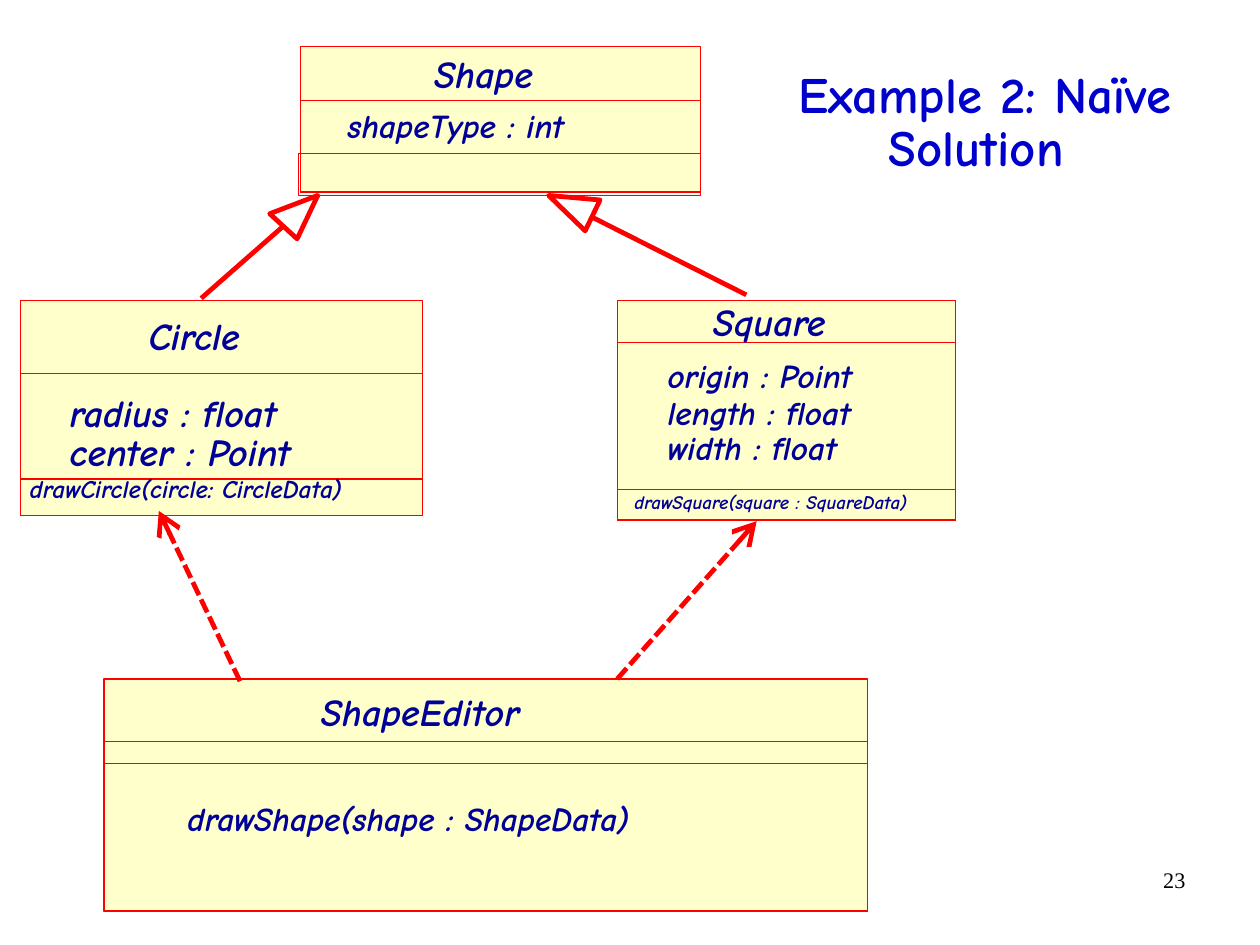
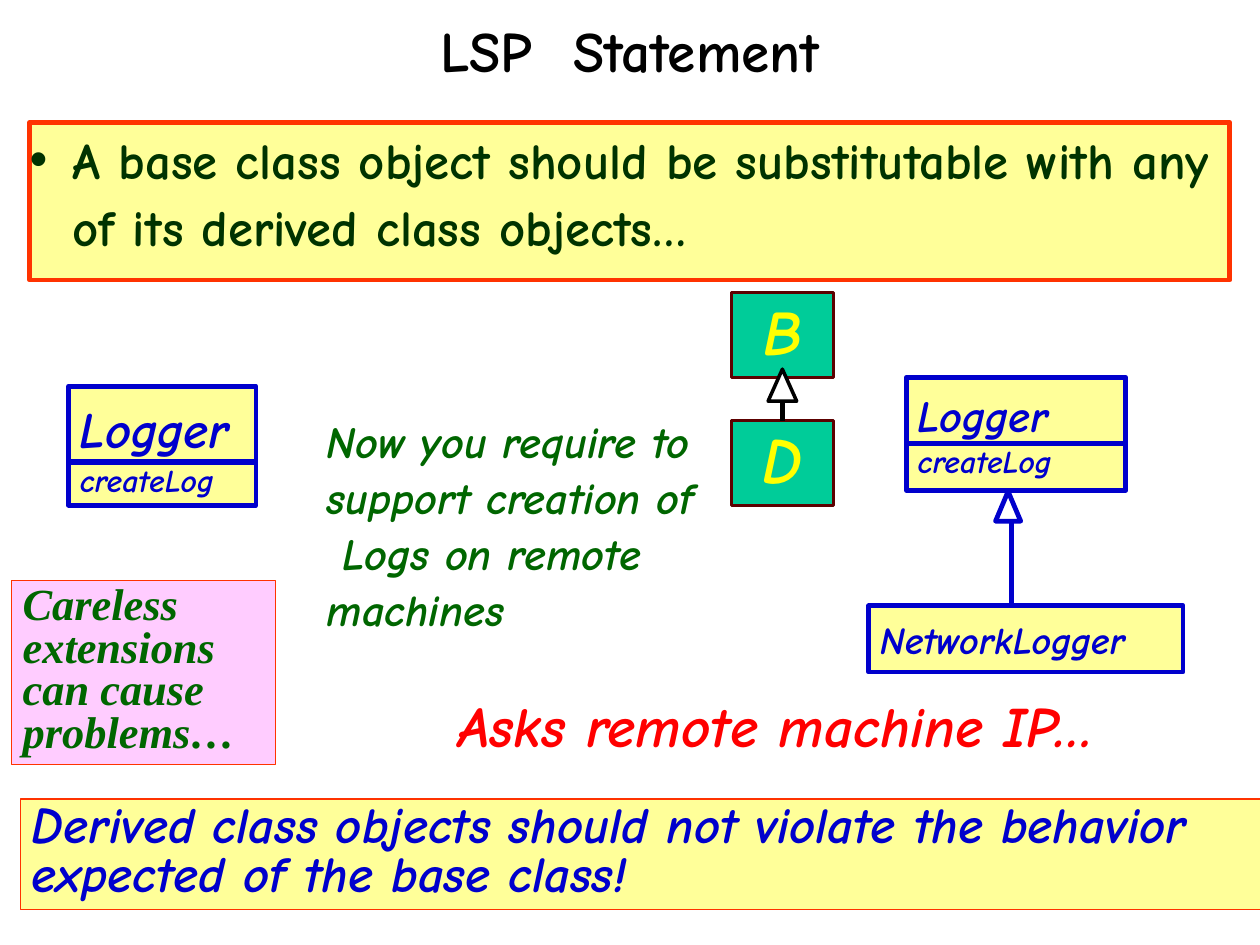
from dataclasses import dataclass

from lxml import etree
from pptx import Presentation
from pptx.dml.color import RGBColor
from pptx.enum.dml import MSO_LINE
from pptx.enum.shapes import MSO_CONNECTOR, MSO_SHAPE
from pptx.enum.text import MSO_ANCHOR, MSO_AUTO_SIZE, PP_ALIGN
from pptx.oxml.ns import qn
from pptx.util import Cm, Emu, Inches, Pt

RECTANGLE = MSO_SHAPE.RECTANGLE
TRIANGLE = MSO_SHAPE.ISOSCELES_TRIANGLE
STRAIGHT = MSO_CONNECTOR.STRAIGHT
DASHED = MSO_LINE.SQUARE_DOT
TOP, MIDDLE = MSO_ANCHOR.TOP, MSO_ANCHOR.MIDDLE
LEFT, CENTER, RIGHT = PP_ALIGN.LEFT, PP_ALIGN.CENTER, PP_ALIGN.RIGHT
FIT_SHAPE, NO_FIT = MSO_AUTO_SIZE.SHAPE_TO_FIT_TEXT, MSO_AUTO_SIZE.NONE
SIDE_TOP, SIDE_BOTTOM = 0, 2

COMIC, TIMES = "Comic Neue", "Times New Roman"
COLORS = {
    "white": "FFFFFF", "black": "000000", "red": "FF0000", "orange": "FF3300",
    "cream": "FFFFCC", "yellow": "FFFF99", "bright yellow": "FFFF00",
    "navy": "000099", "blue": "0000CC", "green": "006600",
    "dark green": "003300", "teal": "00CC99", "maroon": "5C0000", "pink": "FFCCFF",
}
NO_INSETS = (0, 0)

Point = tuple[float, float]
Rect = tuple[float, float, float, float]


@dataclass
class TextStyle:
    size: float
    color: str
    font: str = COMIC
    bold: bool = True
    italic: bool = True
    spacing: float = 1.0
    align: PP_ALIGN = LEFT
    anchor: MSO_ANCHOR = TOP
    insets: Point = (0.1, 0.05)
    wrap: bool = True
    fit: MSO_AUTO_SIZE = FIT_SHAPE


@dataclass
class Label:
    text: str
    left: float
    top: float
    width: float
    size: float = 24


@dataclass
class ClassBox:
    frame: Rect
    divider_tops: tuple[float, ...]
    labels: tuple[Label, ...]


@dataclass
class Inheritance:
    start: Point
    end: Point
    head: tuple[Point, Point, Point]


@dataclass
class Note:
    text: str
    frame: Rect
    style: TextStyle
    fill: str = ""
    border: str = ""
    border_width: float = 3


CLASS_BOXES = (
    ClassBox((0.18, 2.63, 3.52, 1.88), (3.27, 4.19), (
        Label("Circle", 1.3, 2.73, 0.92),
        Label("radius : float", 0.61, 3.41, 2.18),
        Label("center : Point", 0.61, 3.75, 2.24),
        Label("drawCircle(circle: CircleData)", 0.26, 4.14, 3.21, 16))),
    ClassBox((5.4, 2.63, 2.96, 1.92), (3.0, 4.28), (
        Label("Square", 6.24, 2.61, 1.12),
        Label("origin : Point", 5.84, 3.11, 1.82, 21),
        Label("length : float", 5.84, 3.43, 1.92, 21),
        Label("width : float", 5.84, 3.74, 1.82, 21),
        Label("drawSquare(square : SquareData)", 5.55, 4.29, 2.76, 12))),
    ClassBox((0.91, 5.94, 6.68, 2.03), (6.49, 6.68), (
        Label("ShapeEditor", 2.81, 6.02, 1.98),
        Label("drawShape(shape : ShapeData)", 1.64, 6.98, 4.48, 21))),
    ClassBox((2.63, 0.41, 3.5, 1.27), (0.88,), (
        Label("Shape", 3.8, 0.44, 0.98),
        Label("shapeType : int", 3.04, 0.92, 2.23, 21))),
)
SHAPE_OPERATIONS = (2.61, 1.34, 3.52, 0.37)
INHERITANCES = (
    Inheritance((1.76, 2.61), (2.58, 1.89), ((2.78, 1.71), (2.6, 2.09), (2.36, 1.87))),
    Inheritance((6.53, 2.58), (5.16, 1.89), ((4.8, 1.71), (5.25, 1.75), (5.12, 2.02))),
)
DEPENDENCIES = (((2.1, 5.96), (1.39, 4.47)), ((5.4, 5.94), (6.62, 4.56)))


def logger_note(text: str, frame: Rect, size: float, spacing: float = 1.1) -> Note:
    return Note(text, frame, TextStyle(size, "blue", spacing=spacing), "yellow", "blue")


LSP_NOTES = (
    Note("Derived class objects should not violate the behavior expected of the base class!",
         (0.18, 6.99, 10.85, 0.97), TextStyle(32, "blue", spacing=0.8),
         "yellow", "orange", 0.75),
    logger_note("Logger", (0.6, 3.38, 1.64, 0.66), 32),
    logger_note("createLog", (0.6, 4.05, 1.64, 0.37), 20, 0.8),
    Note("Now you require to support creation of  Logs on remote machines",
         (2.76, 3.55, 3.5, 2.55), TextStyle(28, "green", spacing=1.05)),
    logger_note("Logger", (7.93, 3.3, 1.92, 0.66), 28),
    logger_note("createLog", (7.93, 3.88, 1.92, 0.41), 20, 0.8),
    logger_note("NetworkLogger", (7.6, 5.3, 2.75, 0.58), 24),
    Note("Asks remote machine IP…", (3.91, 6.11, 7.12, 0.59),
         TextStyle(36, "red", spacing=0.8)),
    Note("Careless extensions can cause problems…", (0.1, 5.08, 2.31, 1.61),
         TextStyle(28, "green", TIMES, spacing=0.8), "pink", "orange", 0.75),
)
HIERARCHY_STYLE = TextStyle(40, "bright yellow", spacing=0.9, align=CENTER,
                            anchor=MIDDLE, insets=(0.11, 0.06), fit=NO_FIT)


def rgb(color: str) -> RGBColor:
    return RGBColor.from_string(COLORS[color])


def set_attributes(target, values: dict) -> None:
    for name, value in values.items():
        setattr(target, name, value)


def place(shape, frame: Rect) -> None:
    set_attributes(shape, dict(zip(("left", "top", "width", "height"), map(Inches, frame))))


def write(shape, text: str, style: TextStyle) -> None:
    frame = shape.text_frame
    frame.text = text
    across, down = map(Inches, style.insets)
    set_attributes(frame, {
        "margin_left": across, "margin_right": across,
        "margin_top": down, "margin_bottom": down,
        "word_wrap": style.wrap, "vertical_anchor": style.anchor,
        "auto_size": style.fit,
    })
    paragraph = frame.paragraphs[0]
    set_attributes(paragraph, {
        "alignment": style.align, "line_spacing": style.spacing, "space_before": Pt(0),
    })
    for run in paragraph.runs:
        set_attributes(run.font, {
            "name": style.font, "size": Pt(style.size),
            "bold": style.bold, "italic": style.italic,
        })
        run.font.color.rgb = rgb(style.color)


def paint(shape, fill: str, border: str, border_width: float) -> None:
    """Fill and outline a shape; an empty fill name leaves it hollow."""
    if fill:
        shape.fill.solid()
        shape.fill.fore_color.rgb = rgb(fill)
    else:
        shape.fill.background()
    shape.line.color.rgb = rgb(border)
    shape.line.width = Pt(border_width)


def add_panel(slide, frame: Rect, fill: str, border: str, border_width: float,
              preset: MSO_SHAPE = RECTANGLE):
    panel = slide.shapes.add_shape(preset, *map(Inches, frame))
    paint(panel, fill, border, border_width)
    panel.shadow.inherit = False
    return panel


def add_text(slide, text: str, frame: Rect, style: TextStyle) -> None:
    write(slide.shapes.add_textbox(*map(Inches, frame)), text, style)


def add_note(slide, note: Note):
    if not note.fill:
        return add_text(slide, note.text, note.frame, note.style)
    panel = add_panel(slide, note.frame, note.fill, note.border, note.border_width)
    write(panel, note.text, note.style)
    return panel


def add_line(slide, start: Point, end: Point, color: str, dashed_arrow: bool = False):
    line = slide.shapes.add_connector(STRAIGHT, *map(Inches, start + end))
    line.line.color.rgb = rgb(color)
    line.line.width = Pt(3)
    if dashed_arrow:
        line.line.dash_style = DASHED
        etree.SubElement(line.get_or_add_ln(), qn("a:tailEnd"),
                         type="arrow", w="lg", len="lg")
    etree.SubElement(line._element.spPr, qn("a:effectLst"))
    return line


def add_class_box(slide, box: ClassBox) -> None:
    left, top, width, height = box.frame
    add_panel(slide, box.frame, "cream", "red", 0)
    for divider in box.divider_tops:
        add_panel(slide, (left, divider, width, top + height - divider), "", "red", 0)
    for label in box.labels:
        style = TextStyle(label.size, "navy", insets=NO_INSETS, wrap=False)
        line_height = label.size * 1.2 / 72
        add_text(slide, label.text, (label.left, label.top, label.width, line_height), style)


def add_inheritance(slide, arrow: Inheritance) -> None:
    add_line(slide, arrow.start, arrow.end, "red")
    tip, *base = [tuple(map(Inches, corner)) for corner in arrow.head]
    outline = slide.shapes.build_freeform(*tip)
    outline.add_line_segments(base, close=True)
    head = outline.convert_to_shape(Emu(0), Emu(0))
    paint(head, "white", "red", 3)
    head.shadow.inherit = False


def add_titled_slide(deck, layout: int, title: str, frame: Rect, size: float, color: str):
    slide = deck.slides.add_slide(deck.slide_layouts[layout])
    place(slide.shapes.title, frame)
    write(slide.shapes.title, title, TextStyle(
        size, color, italic=False, spacing=0.88, align=CENTER, anchor=MIDDLE,
        insets=NO_INSETS, fit=NO_FIT))
    return slide


def add_bullet(paragraph, color: str, percent: int) -> None:
    properties = paragraph._p.get_or_add_pPr()
    properties.set("marL", str(Inches(0.55)))
    properties.set("indent", str(Inches(-0.35)))
    bullet_color = etree.SubElement(properties, qn("a:buClr"))
    etree.SubElement(bullet_color, qn("a:srgbClr"), val=COLORS[color])
    etree.SubElement(properties, qn("a:buSzPct"), val=str(percent * 1000))
    etree.SubElement(properties, qn("a:buFont"), typeface=TIMES)
    etree.SubElement(properties, qn("a:buChar"), char="●")


def build_naive_solution(deck) -> None:
    slide = add_titled_slide(deck, 5, "Example 2: Naïve\vSolution ",
                             (5.16, 0.56, 6.92, 1.05), 32, "blue")
    add_text(slide, "23", (7.9, 7.53, 2.57, 0.57), TextStyle(
        14, "black", TIMES, bold=False, italic=False, align=RIGHT, fit=NO_FIT))
    for box in CLASS_BOXES:
        add_class_box(slide, box)
    add_panel(slide, SHAPE_OPERATIONS, "", "red", 0)
    for start, end in DEPENDENCIES:
        add_line(slide, start, end, "red", dashed_arrow=True)
    for arrow in INHERITANCES:
        add_inheritance(slide, arrow)


def build_lsp_statement(deck) -> None:
    slide = add_titled_slide(deck, 1, "LSP  Statement", (0.81, -0.21, 9.4, 1.37), 36, "black")
    principle = slide.placeholders[1]
    place(principle, (0.26, 1.07, 10.5, 1.38))
    paint(principle, "yellow", "orange", 3)
    add_bullet(principle.text_frame.paragraphs[0], "black", 45)
    write(principle,
          "A base class object should be substitutable with any of its derived class objects…",
          TextStyle(32, "dark green", italic=False, spacing=1.1, insets=NO_INSETS, fit=NO_FIT))

    for note in LSP_NOTES:
        add_note(slide, note)
    add_panel(slide, (8.71, 4.3, 0.22, 0.26), "", "blue", 3, TRIANGLE)
    add_line(slide, (8.85, 4.55), (8.85, 5.3), "blue")

    base, derived = (
        add_note(slide, Note(name, (6.4, top, 0.89, 0.74), HIERARCHY_STYLE, "teal", "maroon", 2))
        for name, top in (("B", 2.56), ("D", 3.68)))
    derivation = add_line(slide, (6.84, 3.3), (6.84, 3.68), "black")
    derivation.begin_connect(base, SIDE_BOTTOM)
    derivation.end_connect(derived, SIDE_TOP)
    add_panel(slide, (6.72, 3.23, 0.25, 0.28), "white", "black", 2.25, TRIANGLE)


def main() -> None:
    deck = Presentation()
    deck.slide_width, deck.slide_height = Cm(28), Cm(21)
    build_naive_solution(deck)
    build_lsp_statement(deck)
    deck.save("out.pptx")


if __name__ == "__main__":
    main()
